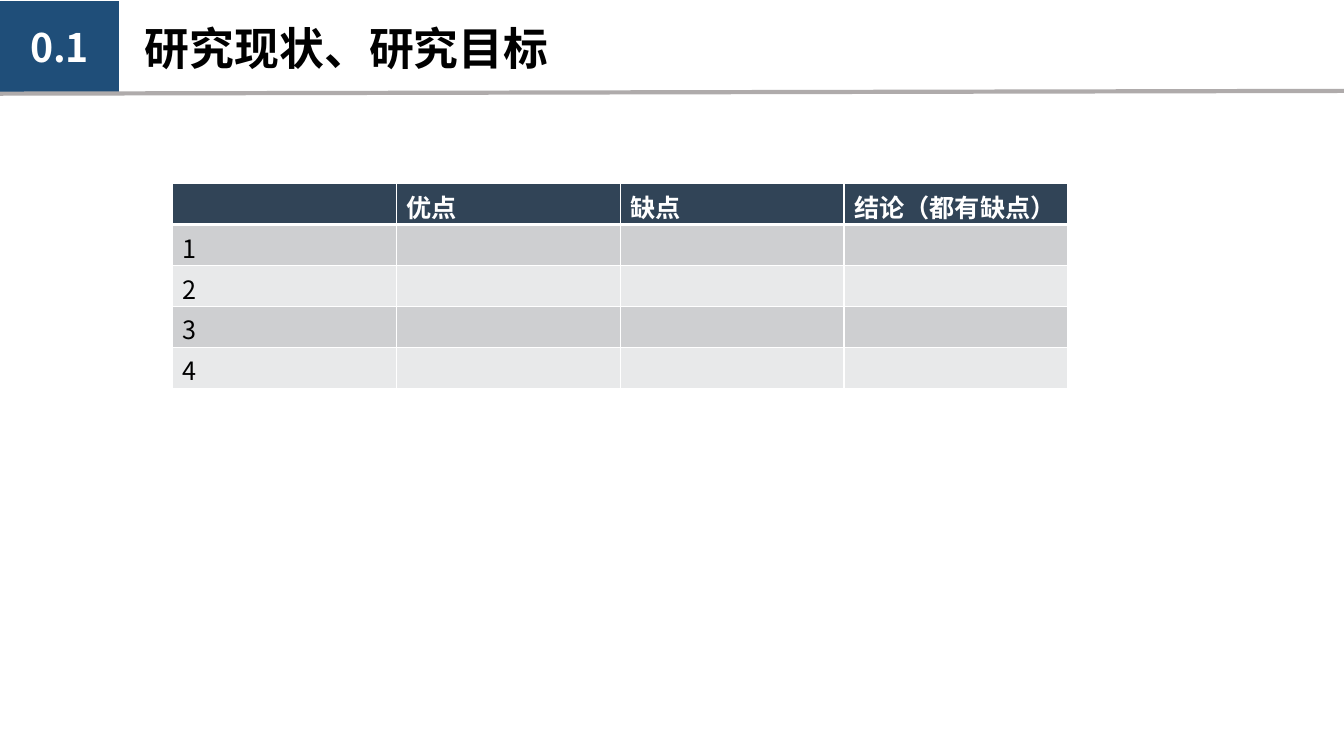
from lxml import etree
from pptx import Presentation
from pptx import util as u
from pptx.dml.color import RGBColor
from pptx.enum import shapes, text
from pptx.oxml import ns

COLORS = {
    "badge": "1F4E79",
    "rule": "AFABAB",
    "header": "314457",
    "odd": "CECFD1",
    "even": "E8E9EA",
    "white": "FFFFFF",
    "black": "000000",
}
HEADINGS = ["", "优点", "缺点", "结论（都有缺点）"]
ROW_LABELS = ["1", "2", "3", "4"]


class SlideBuilder:
    font_name = "Noto Sans CJK SC"

    def __init__(self, presentation):
        layout = presentation.slide_layouts.get_by_name("Title Only")
        self.slide = presentation.slides.add_slide(layout)

    def color(self, name):
        return RGBColor.from_string(COLORS[name])

    def add_text(self, frame, content, color, align=text.PP_ALIGN.LEFT, **formats):
        paragraph = frame.paragraphs[0]
        paragraph.alignment = align
        run = paragraph.add_run()
        run.text = content
        for name, value in {"name": self.font_name, **formats}.items():
            setattr(run.font, name, value)
        run.font.color.rgb = self.color(color)
        east_asian = etree.SubElement(run.font._element, ns.qn("a:ea"))
        east_asian.set("typeface", self.font_name)

    def title(self, content, left, top, width, height):
        shape = self.slide.shapes.title
        place = {"left": left, "top": top, "width": width, "height": height}
        for name, value in place.items():
            setattr(shape, name, u.Cm(value))
        frame = shape.text_frame
        frame.word_wrap = True
        frame.auto_size = text.MSO_AUTO_SIZE.NONE
        frame.vertical_anchor = text.MSO_ANCHOR.MIDDLE
        self.add_text(frame, content, "black", size=u.Pt(32), bold=True)

    def badge(self, content, *place):
        shape = self.slide.shapes.add_shape(
            shapes.MSO_SHAPE.RECTANGLE, *map(u.Cm, place))
        shape.shadow.inherit = False
        shape.fill.solid()
        shape.fill.fore_color.rgb = self.color("badge")
        shape.line.fill.background()
        shape.text_frame.vertical_anchor = text.MSO_ANCHOR.MIDDLE
        self.add_text(shape.text_frame, content, "white", text.PP_ALIGN.CENTER,
                      size=u.Pt(28), bold=True)

    def rule(self, *ends):
        connector = self.slide.shapes.add_connector(
            shapes.MSO_CONNECTOR.STRAIGHT, *map(u.Cm, ends))
        connector.line.color.rgb = self.color("rule")
        connector.line.width = u.Pt(3)
        etree.SubElement(connector._element.spPr, ns.qn("a:effectLst"))

    def borders(self, cell, **widths):
        properties = cell._tc.get_or_add_tcPr()
        for index, (side, width) in enumerate(widths.items()):
            line = etree.Element(ns.qn(f"a:ln{side}"), w=str(u.Pt(width)))
            fill = etree.SubElement(line, ns.qn("a:solidFill"))
            etree.SubElement(fill, ns.qn("a:srgbClr"), val=COLORS["white"])
            properties.insert(index, line)

    def table(self, rows, left, top, column_width, row_height):
        columns = len(rows[0])
        table = self.slide.shapes.add_table(
            len(rows), columns, u.Cm(left), u.Cm(top),
            u.Cm(column_width * columns), u.Cm(row_height * len(rows))).table
        for row_index, row in enumerate(rows):
            header = row_index == 0
            fill = "header" if header else "odd" if row_index % 2 else "even"
            for column_index, content in enumerate(row):
                cell = table.cell(row_index, column_index)
                cell.margin_top, cell.margin_bottom = u.Cm(0.11), 0
                cell.fill.solid()
                cell.fill.fore_color.rgb = self.color(fill)
                self.borders(cell, L=1, R=1, T=3 if row_index == 1 else 1,
                             B=3 if header else 1)
                if content:
                    self.add_text(cell.text_frame, content,
                                  "white" if header else "black",
                                  size=u.Pt(18), bold=header)


def main():
    presentation = Presentation()
    presentation.slide_width = u.Cm(33.87)
    presentation.slide_height = u.Cm(19.05)
    builder = SlideBuilder(presentation)
    builder.badge("0.1", 0, 0.03, 3, 2.31)
    builder.rule(-0.05, 2.36, 33.93, 2.29)
    builder.title("研究现状、研究目标", 3.4, 0.38, 18.52, 1.63)
    blanks = [""] * (len(HEADINGS) - 1)
    rows = [HEADINGS] + [[label, *blanks] for label in ROW_LABELS]
    builder.table(rows, 4.35, 4.63, 5.64, 1.03)
    presentation.save("out.pptx")


if __name__ == "__main__":
    main()
